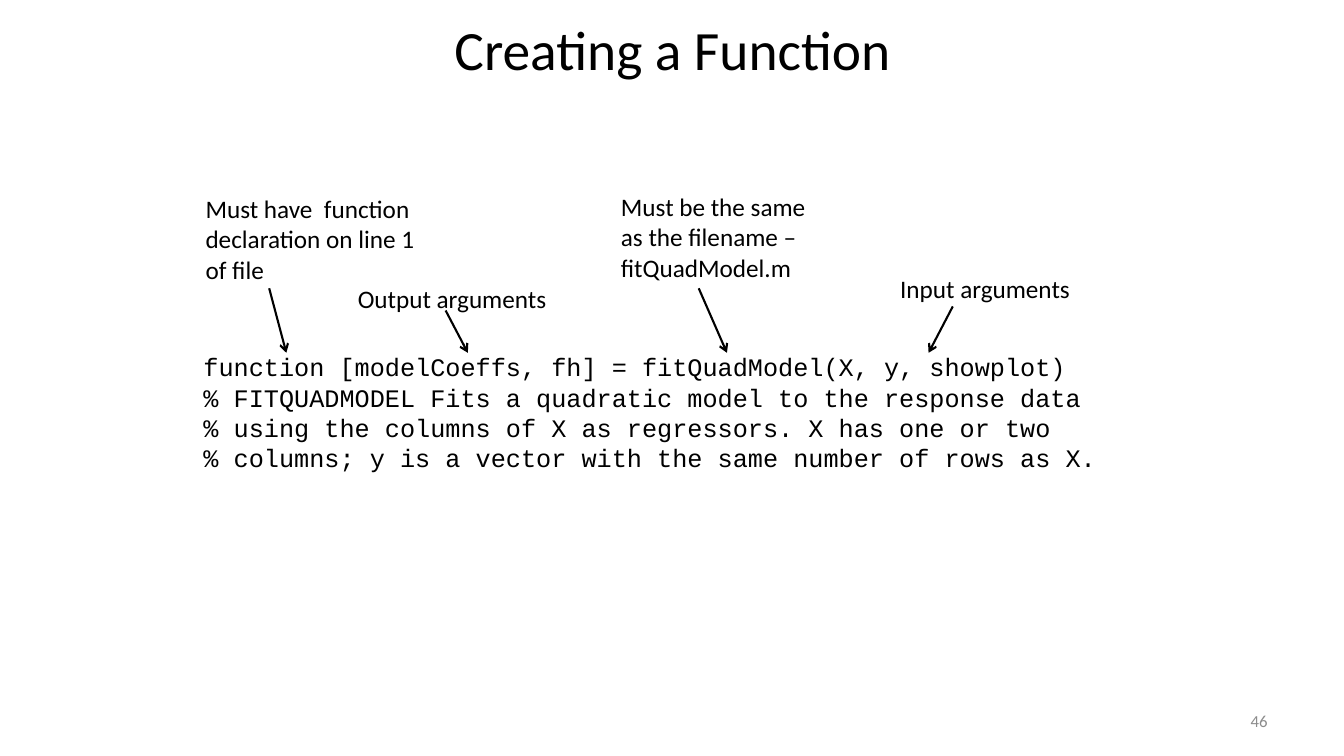
from dataclasses import dataclass

from lxml import etree
from pptx import Presentation
from pptx.dml.color import RGBColor
from pptx.enum import text
from pptx.enum.shapes import MSO_CONNECTOR
from pptx.oxml.ns import qn
from pptx.util import Inches, Pt


@dataclass(frozen=True)
class Theme:
    ink: RGBColor = RGBColor(0x00, 0x00, 0x00)
    muted: RGBColor = RGBColor(0x8C, 0x8C, 0x8C)
    body_font: str = "Calibri"
    code_font: str = "Courier New"
    title_size: float = 39.6
    body_size: float = 18
    number_size: float = 12
    arrow_width: float = 1.5


THEME = Theme()

CODE = [
    "function [modelCoeffs, fh] = fitQuadModel(X, y, showplot)",
    "% FITQUADMODEL Fits a quadratic model to the response data",
    "% using the columns of X as regressors. X has one or two",
    "% columns; y is a vector with the same number of rows as X.",
]
ARROW_TIP_Y = 3.5

# Note wording, note box (left, top, width, height), arrow start, arrow tip x
CALLOUTS = [
    ("Must have  function declaration on line 1 of file",
     (1.94, 1.87, 2.39, 1.01), (2.67, 2.86), 2.84),
    ("Output arguments", (3.45, 2.76, 2.52, 0.4), (4.42, 3.08), 4.64),
    ("Must be the same as the filename – fitQuadModel.m",
     (6.06, 1.85, 2.28, 1.01), (6.93, 2.86), 7.21),
    ("Input arguments", (8.83, 2.66, 2.13, 0.4), (9.45, 3.04), 9.21),
]


def style(paragraph, size, font=THEME.body_font, color=THEME.ink,
          align=text.PP_ALIGN.LEFT):
    paragraph.alignment = align
    paragraph.font.name = font
    paragraph.font.size = Pt(size)
    paragraph.font.color.rgb = color


def add_title(slide, wording):
    title = slide.shapes.title
    title.left, title.top = Inches(2.17), Inches(0.13)
    title.width, title.height = Inches(9), Inches(0.69)
    title.text = wording
    title.text_frame.auto_size = text.MSO_AUTO_SIZE.NONE
    title.text_frame.vertical_anchor = text.MSO_ANCHOR.MIDDLE
    style(title.text_frame.paragraphs[0], THEME.title_size,
          align=text.PP_ALIGN.CENTER)


def add_text(slide, box, lines, size=THEME.body_size,
             anchor=text.MSO_ANCHOR.TOP, **looks):
    frame = slide.shapes.add_textbox(*map(Inches, box)).text_frame
    frame.word_wrap = True
    frame.vertical_anchor = anchor
    frame.text = "\n".join(lines)
    for paragraph in frame.paragraphs:
        style(paragraph, size, **looks)


def add_arrow(slide, start, tip):
    arrow = slide.shapes.add_connector(
        MSO_CONNECTOR.STRAIGHT, *map(Inches, (*start, *tip)))
    arrow.line.color.rgb = THEME.ink
    arrow.line.width = Pt(THEME.arrow_width)
    etree.SubElement(arrow.line._get_or_add_ln(), qn("a:tailEnd"), type="arrow")
    etree.SubElement(arrow._element.spPr, qn("a:effectLst"))


def main():
    deck = Presentation()
    deck.slide_width, deck.slide_height = Inches(13.33), Inches(7.5)
    slide = deck.slides.add_slide(deck.slide_layouts.get_by_name("Title Only"))

    add_title(slide, "Creating a Function")
    add_text(slide, (9.56, 6.95, 3.11, 0.4), ["46"], THEME.number_size,
             anchor=text.MSO_ANCHOR.MIDDLE, color=THEME.muted,
             align=text.PP_ALIGN.RIGHT)
    add_text(slide, (1.92, 3.44, 9.33, 1.62), CODE, font=THEME.code_font)
    for note, box, start, tip_x in CALLOUTS:
        add_text(slide, box, [note])
        add_arrow(slide, start, (tip_x, ARROW_TIP_Y))

    deck.save("out.pptx")


if __name__ == "__main__":
    main()
